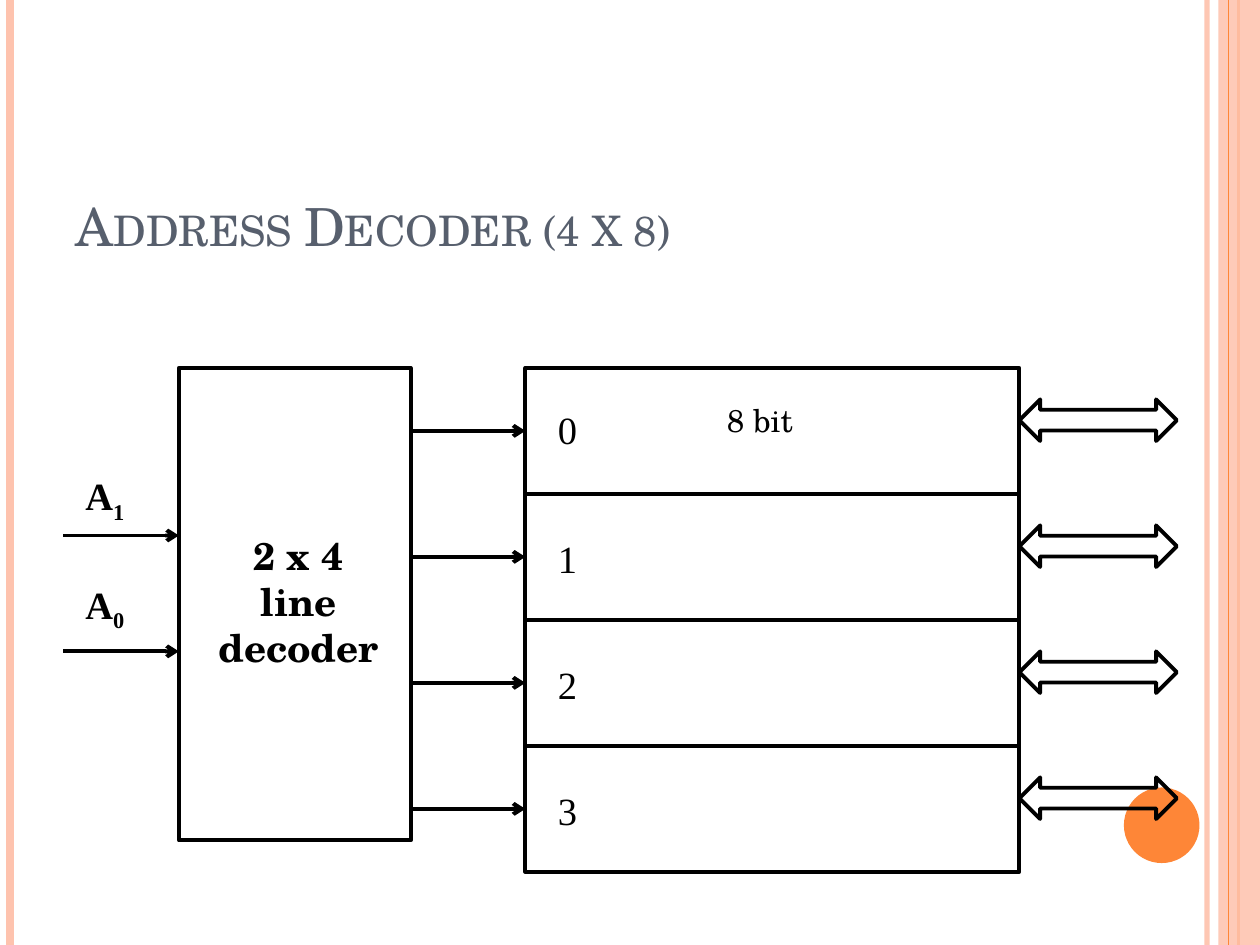
"""Build the address decoder slide."""
from lxml import etree
from pptx import Presentation
from pptx import util as u
from pptx.dml.color import RGBColor
from pptx.enum import shapes, text
from pptx.oxml.ns import qn

COLORS = {"ink": "000000", "title": "575F6D", "peach": "FEC3AE", "orange": "FE8637"}
SERIF, ROMAN = "TeX Gyre Schola", "Times New Roman"
TITLE = "Address Decoder (4 x 8)"
DECODER = "2 x 4 line decoder"
WORD_SIZE = "8 bit"
ROWS = [("0", 3.17), ("1", 4.2), ("2", 5.2), ("3", 6.2)]
INPUTS = [("A", "1", 3.7, 4.25), ("A", "0", 4.56, 5.17)]
STRIPES = [(9.58, "peach", 3, 93), (0.08, "peach", 4.5, 100), (9.83, "orange", 1.5, 100)]
ROW_TOP, ROW_HEIGHT = 2.92, 1
MEMORY_LEFT, MEMORY_WIDTH = 4.17, 3.92
DECODER_LEFT, DECODER_WIDTH = 1.42, 1.84


def rgb(name):
    """Return the named palette colour."""
    return RGBColor.from_string(COLORS[name])


def set_alpha(element, percent):
    """Make the solid colour inside an element partly transparent."""
    color = next(element.iter(qn("a:srgbClr")))
    etree.SubElement(color, qn("a:alpha")).set("val", str(percent * 1000))


def add_line(slide, start, end, color="ink", width=2.25, alpha=100, arrow=False):
    """Draw a straight line, with an optional arrowhead at its end."""
    points = [u.Inches(value) for value in (*start, *end)]
    line = slide.shapes.add_connector(shapes.MSO_CONNECTOR.STRAIGHT, *points)
    line.line.color.rgb = rgb(color)
    line.line.width = u.Pt(width)
    properties = line.line._get_or_add_ln()
    if alpha < 100:
        set_alpha(properties, alpha)
    if arrow:
        etree.SubElement(properties, qn("a:tailEnd")).set("type", "arrow")
    etree.SubElement(line._element.spPr, qn("a:effectLst"))


def add_shape(slide, kind, box, fill=None, alpha=100):
    """Add a filled shape without a line, or an outlined shape without a fill."""
    shape = slide.shapes.add_shape(kind, *[u.Inches(value) for value in box])
    shape.shadow.inherit = False
    if fill:
        shape.fill.solid()
        shape.fill.fore_color.rgb = rgb(fill)
        shape.line.fill.background()
        if alpha < 100:
            set_alpha(shape._element.spPr, alpha)
    else:
        shape.fill.background()
        shape.line.color.rgb = rgb("ink")
        shape.line.width = u.Pt(2.25)


def write(shape, content, subscript="", size=22, font=ROMAN, color="ink", bold=False,
          align=text.PP_ALIGN.LEFT, anchor=text.MSO_ANCHOR.TOP, small_caps=False):
    """Write one formatted paragraph, with an optional subscript."""
    frame = shape.text_frame
    frame.word_wrap = True
    frame.vertical_anchor = anchor
    paragraph = frame.paragraphs[0]
    paragraph.alignment = align
    for part in filter(None, (content, subscript)):
        run = paragraph.add_run()
        run.text = part
        run.font.size = u.Pt(size)
        run.font.name = font
        run.font.bold = bold
        run.font.color.rgb = rgb(color)
        if small_caps:
            run.font._element.set("cap", "small")
    if subscript:
        run.font._element.set("baseline", "-25000")


def add_label(slide, box, content, **style):
    """Add a text box holding one formatted paragraph."""
    write(slide.shapes.add_textbox(*[u.Inches(value) for value in box]), content, **style)


def add_frame(slide):
    """Draw the stripes and disc at the slide edges."""
    for x, color, width, alpha in STRIPES:
        add_line(slide, (x, 0), (x, 7.5), color, width, alpha)
    add_shape(slide, shapes.MSO_SHAPE.RECTANGLE, (9.67, 0, 0.33, 7.5), "peach", 87)
    add_line(slide, (9.75, 0), (9.75, 7.5), "orange", 0.75)
    add_shape(slide, shapes.MSO_SHAPE.OVAL, (8.92, 6.25, 0.6, 0.6), "orange")


def add_memory(slide):
    """Draw the memory rows with their select lines and data buses."""
    right = MEMORY_LEFT + MEMORY_WIDTH
    for index, (number, label_top) in enumerate(ROWS):
        top = ROW_TOP + index * ROW_HEIGHT
        middle = top + ROW_HEIGHT / 2
        add_shape(slide, shapes.MSO_SHAPE.RECTANGLE,
                  (MEMORY_LEFT, top, MEMORY_WIDTH, ROW_HEIGHT))
        add_line(slide, (DECODER_LEFT + DECODER_WIDTH, middle), (MEMORY_LEFT, middle), arrow=True)
        add_shape(slide, shapes.MSO_SHAPE.LEFT_RIGHT_ARROW, (right, top + 0.25, 1.25, 0.33))
        add_label(slide, (4.33, label_top, 0.46, 0.47), number)
    add_label(slide, (5.67, 3.13, 1.62, 0.4), WORD_SIZE, size=18, font=SERIF)


def add_decoder(slide):
    """Draw the decoder block and its address inputs."""
    add_shape(slide, shapes.MSO_SHAPE.RECTANGLE, (DECODER_LEFT, ROW_TOP, DECODER_WIDTH, 3.75))
    add_label(slide, (1.58, 4.17, 1.58, 1.21), DECODER, font=SERIF, bold=True,
              align=text.PP_ALIGN.CENTER)
    for name, subscript, label_top, y in INPUTS:
        add_line(slide, (0.5, y), (DECODER_LEFT, y), arrow=True)
        add_label(slide, (0.58, label_top, 0.67, 0.47), name, subscript=subscript, bold=True)


def main():
    """Build and save the slide."""
    presentation = Presentation()
    presentation.slide_width, presentation.slide_height = u.Inches(10), u.Inches(7.5)
    slide = presentation.slides.add_slide(presentation.slide_layouts[5])
    add_frame(slide)
    title = slide.shapes.title
    title.left, title.top = u.Inches(0.5), u.Inches(0.92)
    title.width, title.height = u.Inches(9), u.Inches(1.17)
    write(title, TITLE, size=30, font=SERIF, color="title",
          anchor=text.MSO_ANCHOR.BOTTOM, small_caps=True)
    add_memory(slide)
    add_decoder(slide)
    presentation.save("out.pptx")


if __name__ == "__main__":
    main()
